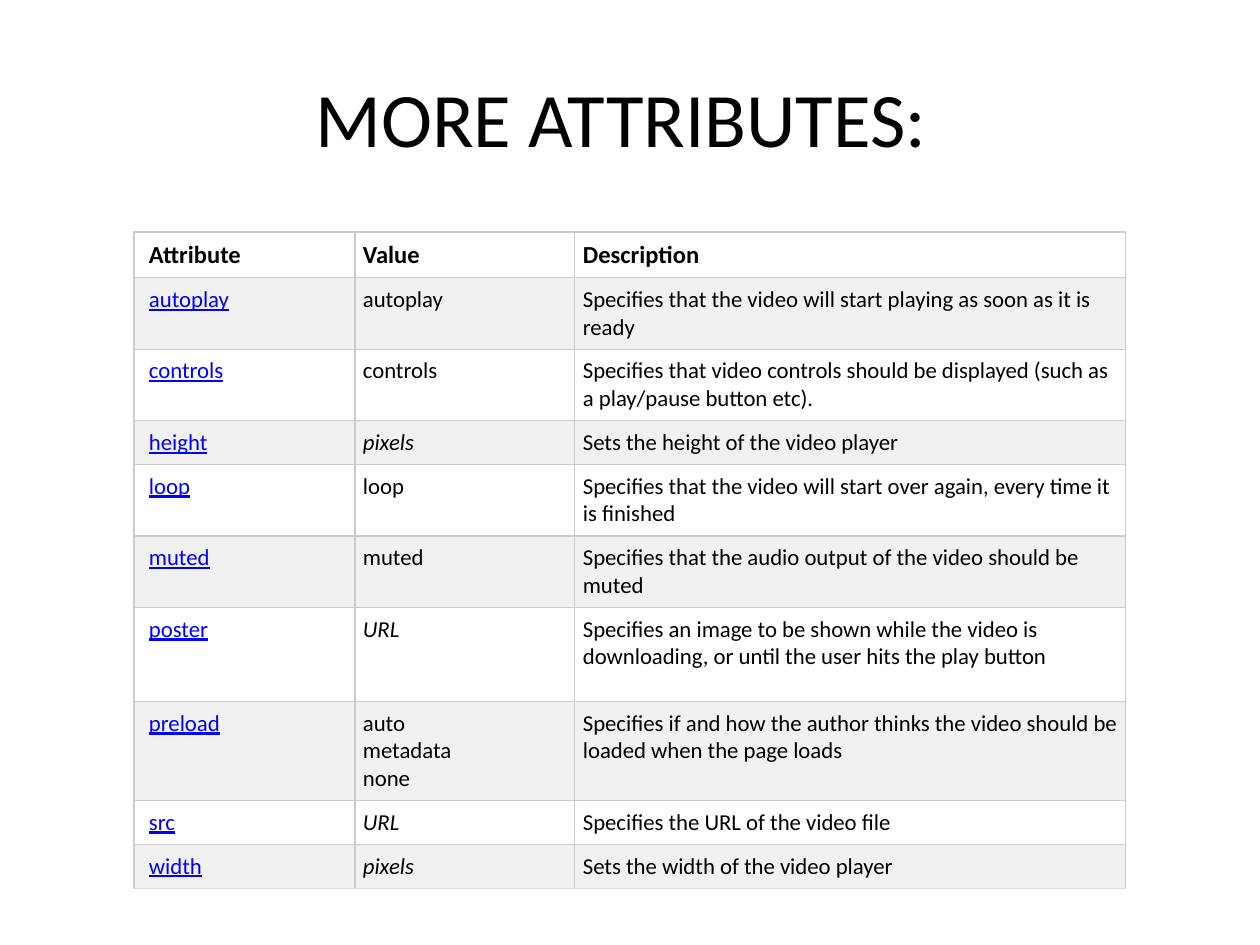
from lxml.etree import SubElement
from pptx import Presentation
from pptx.dml.color import RGBColor
from pptx.enum.text import MSO_ANCHOR, PP_ALIGN
from pptx.oxml.ns import qn
from pptx.util import Pt

PX = 914400 // 126
FONT = "Calibri"
COLORS = {"text": "000000", "link": "0000FF", "plain": "FFFFFF",
          "band": "F1F1F1", "rule": "CCCCCC", "base": "DDDDDD"}
COLS = [221, 220, 551]
HEIGHTS = [42, 68, 68, 42, 68, 68, 94, 94, 42, 42]
HEAD = ("Attribute", "Value", "Description")
ROWS = [
    ("autoplay", "autoplay", "Specifies that the video will start playing as soon as it is ready"),
    ("controls", "controls",
     "Specifies that video controls should be displayed (such as a play/pause button etc)."),
    ("height", "pixels", "Sets the height of the video player"),
    ("loop", "loop", "Specifies that the video will start over again, every time it is finished"),
    ("muted", "muted", "Specifies that the audio output of the video should be muted"),
    ("poster", "URL",
     "Specifies an image to be shown while the video is downloading, or until the user hits the play button"),
    ("preload", "auto\nmetadata\nnone",
     "Specifies if and how the author thinks the video should be loaded when the page loads"),
    ("src", "URL", "Specifies the URL of the video file"),
    ("width", "pixels", "Sets the width of the video player"),
]
KINDS = ("pixels", "URL")  # values that name a type are italic


def px(n):
    return n * PX


def rgb(name):
    return RGBColor.from_string(COLORS[name])


def add_run(para, text, size, color="text", bold=False, italic=False, line=False):
    run = para.add_run()
    run.text = text
    font = run.font
    font.name, font.size = FONT, Pt(size)
    font.bold, font.italic, font.underline = bold, italic, line
    font.color.rgb = rgb(color)


def add_title(slide, text):
    title = slide.shapes.title
    title.left, title.top, title.width, title.height = map(px, (63, 38, 1134, 158))
    title.text_frame.vertical_anchor = MSO_ANCHOR.MIDDLE
    para = title.text_frame.paragraphs[0]
    para.alignment = PP_ALIGN.CENTER
    add_run(para, text, 44)


def set_edges(cell, last):
    props = cell._tc.get_or_add_tcPr()
    for side in "LRTB":
        edge = SubElement(props, qn(f"a:ln{side}"), w=str(Pt(0.75)))
        fill = SubElement(edge, qn("a:solidFill"))
        color = "base" if last and side == "B" else "rule"
        SubElement(fill, qn("a:srgbClr"), val=COLORS[color])


def fill_cell(cell, text, row, col):
    # Box: borders, banding and insets
    set_edges(cell, row == len(ROWS))
    cell.fill.solid()
    cell.fill.fore_color.rgb = rgb("band" if row % 2 else "plain")
    cell.margin_left = px(8 if col else 15)
    cell.margin_right = cell.margin_top = cell.margin_bottom = px(8)
    cell.vertical_anchor = MSO_ANCHOR.TOP

    # Text: bold head, linked names, italic types
    head = row == 0
    link = col == 0 and not head
    para = cell.text_frame.paragraphs[0]
    for i, part in enumerate(text.split("\n")):
        if i:
            para.add_line_break()
        add_run(para, part, 14 if head else 13, "link" if link else "text",
                head, text in KINDS, link)


def add_grid(slide):
    data = [HEAD, *ROWS]
    frame = slide.shapes.add_table(len(data), len(COLS), px(134), px(232),
                                   px(sum(COLS)), px(sum(HEIGHTS)))
    table = frame.table
    for col, width in zip(table.columns, COLS):
        col.width = px(width)
    for r, (texts, height) in enumerate(zip(data, HEIGHTS)):
        table.rows[r].height = px(height)
        for c, text in enumerate(texts):
            fill_cell(table.cell(r, c), text, r, c)


def main():
    deck = Presentation()
    deck.slide_width, deck.slide_height = px(1260), px(945)
    slide = deck.slides.add_slide(deck.slide_layouts[5])
    add_title(slide, "MORE ATTRIBUTES: ")
    add_grid(slide)
    deck.save("out.pptx")


if __name__ == "__main__":
    main()
